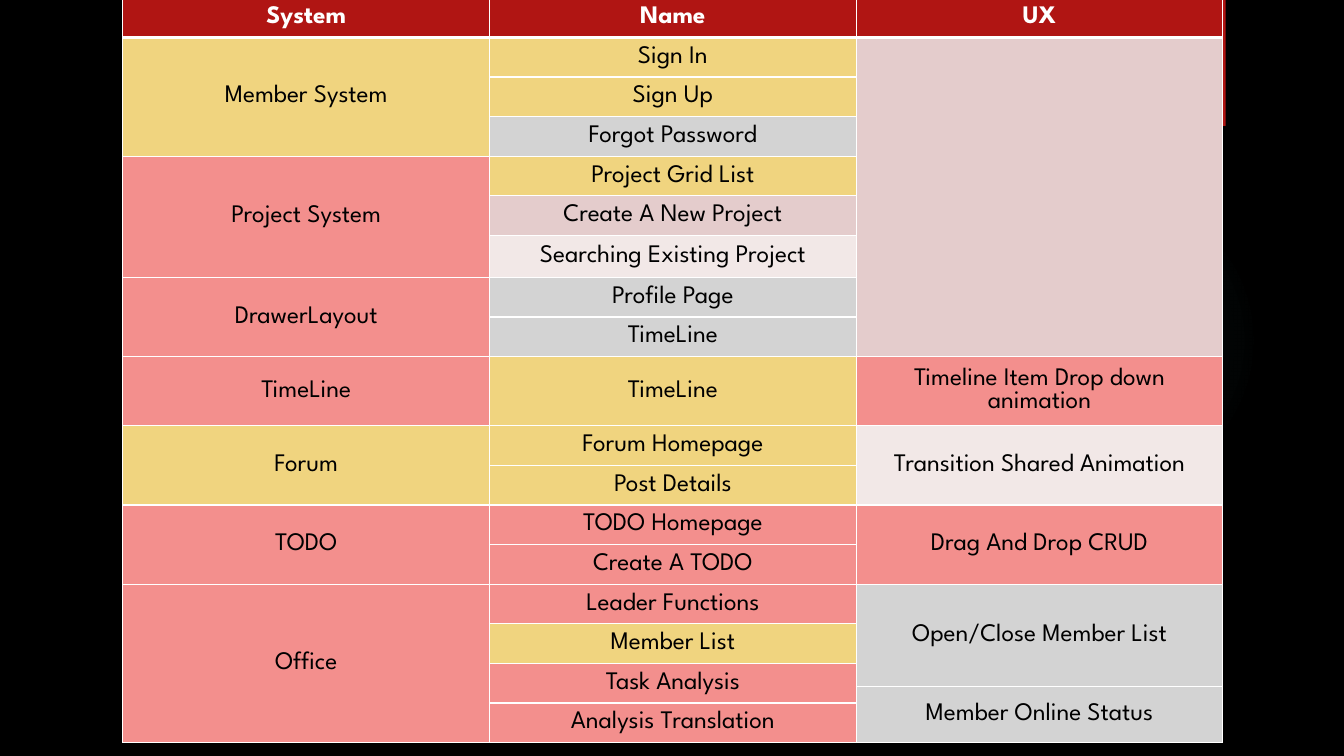
from lxml import etree
from pptx import Presentation
from pptx.dml.color import RGBColor
from pptx.enum.shapes import MSO_SHAPE as Shape
from pptx.enum.text import MSO_ANCHOR as Anchor, PP_ALIGN as Align
from pptx.oxml import parse_xml
from pptx.oxml.ns import qn
from pptx.util import Pt

FONT = "League Spartan"
BLACK = RGBColor(0x00, 0x00, 0x00)
WHITE = RGBColor(0xFF, 0xFF, 0xFF)
RED = RGBColor(0xB0, 0x15, 0x13)
TEAL = RGBColor(0x50, 0xB9, 0xC1)
GOLD = RGBColor(0xF0, 0xD4, 0x7F)
GRAY = RGBColor(0xD3, 0xD3, 0xD3)
CORAL = RGBColor(0xF3, 0x8F, 0x8D)
ROSE = RGBColor(0xE4, 0xCC, 0xCC)
PALE = RGBColor(0xF2, 0xE8, 0xE7)
NS = 'xmlns:a="http://schemas.openxmlformats.org/drawingml/2006/main"'

# Each column lists its cells from the top: text, fill, rows spanned
SYSTEMS = [
    ("System", RED, 1), ("Member System", GOLD, 3),
    ("Project System", CORAL, 3), ("DrawerLayout", CORAL, 2),
    ("TimeLine", CORAL, 1), ("Forum", GOLD, 2), ("TODO", CORAL, 2),
    ("Office", CORAL, 5),
]
NAMES = [
    ("Name", RED, 1), ("Sign In", GOLD, 1), ("Sign Up", GOLD, 1),
    ("Forgot Password", GRAY, 1), ("Project Grid List", GOLD, 1),
    ("Create A New Project", ROSE, 1),
    ("Searching Existing Project", PALE, 1), ("Profile Page", GRAY, 1),
    ("TimeLine", GRAY, 1), ("TimeLine", GOLD, 1),
    ("Forum Homepage", GOLD, 1), ("Post Details", GOLD, 1),
    ("TODO Homepage", CORAL, 1), ("Create A TODO", CORAL, 1),
    ("Leader Functions", CORAL, 1), ("Member List", GOLD, 1),
    ("Task Analysis", CORAL, 2), ("Analysis Translation", CORAL, 1),
]
EFFECTS = [
    ("UX", RED, 1), ("", ROSE, 8),
    ("Timeline Item Drop down animation", CORAL, 1),
    ("Transition Shared Animation", PALE, 2),
    ("Drag And Drop CRUD", CORAL, 2), ("Open/Close Member List", GRAY, 3),
    ("Member Online Status", GRAY, 2),
]
COLUMNS = [SYSTEMS, NAMES, EFFECTS]

# Row heights in points; the listed rows differ from the usual one
ROWS, HEIGHT = 19, 28.3
ODD = {6: 30, 9: 49.4, 16: 16.8, 17: 11.5}


def write(cell, text, size=18, color=BLACK, bold=False):
    """Put centred text in a cell."""
    cell.vertical_anchor = Anchor.MIDDLE
    para = cell.text_frame.paragraphs[0]
    para.alignment = Align.CENTER
    run = para.add_run()
    run.text = text
    font = run.font
    font.name, font.size, font.bold = FONT, Pt(size), bold
    font.color.rgb = color


def shrink(cell):
    """Keep an empty cell from stretching its row."""
    cell.margin_top = cell.margin_bottom = 0
    para = cell.text_frame.paragraphs[0]
    etree.SubElement(para._p, qn("a:endParaRPr"), sz="100")


def border(cell, base=1):
    """Draw white lines on all four sides."""
    props = cell._tc.get_or_add_tcPr()
    for side, width in zip("LRTB", (1, 1, 1, base)):
        props.append(parse_xml(
            f'<a:ln{side} {NS} w="{Pt(width)}"><a:solidFill>'
            f'<a:srgbClr val="{WHITE}"/></a:solidFill></a:ln{side}>'))


def paint(cell, color):
    cell.fill.solid()
    cell.fill.fore_color.rgb = color


def add_shape(slide, kind, left, top, width, height, color):
    shape = slide.shapes.add_shape(
        kind, Pt(left), Pt(top), Pt(width), Pt(height))
    shape.shadow.inherit = False
    shape.line.fill.background()
    shape.fill.solid()
    shape.fill.fore_color.rgb = color
    return shape


def add_glow(slide):
    """Faint round glow that fades out from its centre."""
    glow = add_shape(slide, Shape.OVAL, 677.5, 131.8, 221.8, 221.8, TEAL)
    stops = "".join(
        f'<a:gs pos="{pos}000"><a:srgbClr val="{TEAL}">'
        f'<a:alpha val="{alpha}000"/></a:srgbClr></a:gs>'
        for pos, alpha in ((0, 7), (36, 6), (69, 0)))
    props = glow._element.spPr
    props.replace(props.find(qn("a:solidFill")), parse_xml(
        f'<a:gradFill {NS}><a:gsLst>{stops}</a:gsLst><a:path path="circle">'
        '<a:fillToRect l="50000" t="50000" r="50000" b="50000"/>'
        '</a:path></a:gradFill>'))


def add_tab(slide):
    """Red tab at the top edge, with a soft shadow."""
    tab = add_shape(slide, Shape.RECTANGLE, 821.5, 0, 54, 90, RED)
    tab._element.spPr.find(qn("a:effectLst")).append(parse_xml(
        f'<a:outerShdw {NS} blurRad="{Pt(3)}" dist="{Pt(2)}" dir="5400000">'
        f'<a:srgbClr val="{BLACK}"><a:alpha val="45000"/></a:srgbClr>'
        '</a:outerShdw>'))


def add_grid(slide):
    heights = [ODD.get(row, HEIGHT) for row in range(ROWS)]
    table = slide.shapes.add_table(
        ROWS, len(COLUMNS), Pt(87.8), Pt(-1.6), Pt(785.7),
        Pt(sum(heights))).table
    for row, height in zip(table.rows, heights):
        row.height = Pt(height)
    for col, items in enumerate(COLUMNS):
        table.columns[col].width = Pt(261.9)
        top = 0
        for text, color, span in items:
            head = top == 0
            for row in range(top, top + span):
                cell = table.cell(row, col)
                border(cell, base=3 if head else 1)
                paint(cell, color)
                if row > top or not text:
                    shrink(cell)
            first = table.cell(top, col)
            if text:
                write(first, text, color=WHITE if head else BLACK, bold=head)
            if span > 1:
                first.merge(table.cell(top + span - 1, col))
            top += span


def main():
    deck = Presentation()
    deck.slide_width, deck.slide_height = Pt(960), Pt(540)
    slide = deck.slides.add_slide(deck.slide_layouts[6])
    back = slide.background.fill
    back.solid()
    back.fore_color.rgb = BLACK
    add_glow(slide)
    add_tab(slide)
    add_grid(slide)
    deck.save("out.pptx")


if __name__ == "__main__":
    main()
